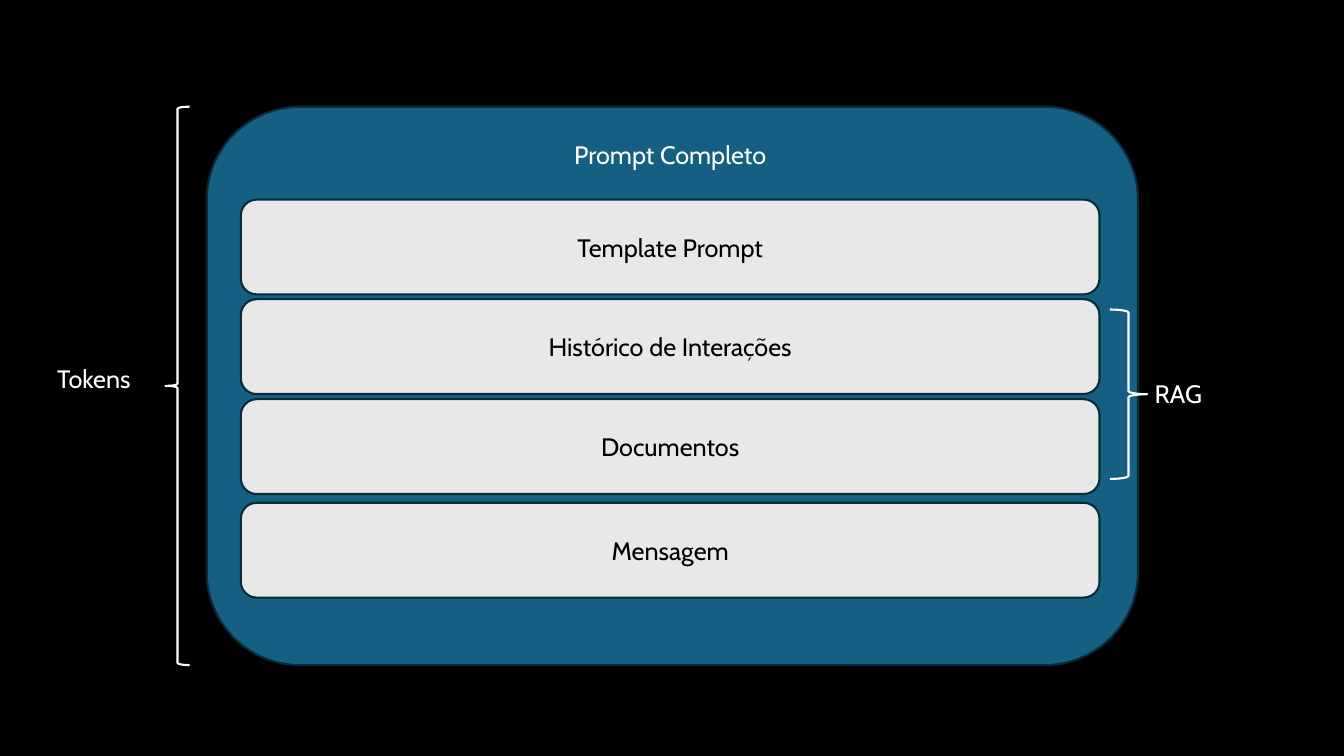
from pptx import Presentation
from pptx.dml.color import RGBColor
from pptx.enum.shapes import MSO_SHAPE
from pptx.enum.text import MSO_ANCHOR, MSO_AUTO_SIZE, PP_ALIGN
from pptx.util import Cm, Pt


def color(hex_text):
    return RGBColor.from_string(hex_text)


class Diagram:
    """Holds the style and the page being drawn."""

    font_format = {"name": "Cabin", "size": Pt(18)}
    line_width = Pt(1.5)
    white, black = "FFFFFF", "000000"
    panel_fill, layer_fill, edge = "156082", "E8E8E8", "092A39"

    def __init__(self, page):
        self.page = page
        page.background.fill.solid()
        page.background.fill.fore_color.rgb = color(self.black)

    def add_text(self, frame, text, text_color, align):
        para = frame.paragraphs[0]
        para.alignment = align
        span = para.add_run()
        span.text = text
        for name, value in self.font_format.items():
            setattr(span.font, name, value)
        span.font.color.rgb = color(text_color)

    def outline(self, shape, line_color):
        shape.shadow.inherit = False
        shape.line.color.rgb = color(line_color)
        shape.line.width = self.line_width

    def rounded_box(self, parent, place, fill, text=None):
        box = parent.shapes.add_shape(MSO_SHAPE.ROUNDED_RECTANGLE, *map(Cm, place))
        self.outline(box, self.edge)
        box.fill.solid()
        box.fill.fore_color.rgb = color(fill)
        if text:
            box.text_frame.vertical_anchor = MSO_ANCHOR.MIDDLE
            self.add_text(box.text_frame, text, self.black, PP_ALIGN.CENTER)

    def brace(self, kind, place):
        brace = self.page.shapes.add_shape(kind, *map(Cm, place))
        self.outline(brace, self.white)
        brace.fill.background()

    def label(self, parent, place, text, wrap=True):
        box = parent.shapes.add_textbox(*map(Cm, place))
        frame = box.text_frame
        settings = {"word_wrap": wrap, "auto_size": MSO_AUTO_SIZE.SHAPE_TO_FIT_TEXT}
        for name, value in settings.items():
            setattr(frame, name, value)
        self.add_text(frame, text, self.white, PP_ALIGN.LEFT)


def main():
    deck = Presentation()
    deck.slide_width, deck.slide_height = Cm(33.87), Cm(19.05)
    page = deck.slides.add_slide(deck.slide_layouts[6])
    diagram = Diagram(page)

    # Complete prompt with its four layers
    panel_top, panel_height = 2.69, 14.07
    prompt = page.shapes.add_group_shape()
    diagram.rounded_box(prompt, (5.21, panel_top, 23.47, panel_height), diagram.panel_fill)
    layers = {
        "Template Prompt": 5.03,
        "Histórico de Interações": 7.54,
        "Documentos": 10.06,
        "Mensagem": 12.67,
    }
    for text, top in layers.items():
        diagram.rounded_box(prompt, (6.07, top, 21.64, 2.39), diagram.layer_fill, text)
    diagram.label(prompt, (14.22, 3.38, 5.56, 1.02), "Prompt Completo")

    # Tokens: the whole prompt
    diagram.brace(MSO_SHAPE.LEFT_BRACE, (4.17, panel_top, 0.61, panel_height))
    diagram.label(page, (1.19, 9.02, 2.54, 1.02), "Tokens")

    # RAG: history and documents
    diagram.brace(MSO_SHAPE.RIGHT_BRACE, (27.97, 7.8, 0.94, 4.27))
    diagram.label(page, (28.85, 9.42, 1.73, 1.02), "RAG", wrap=False)

    deck.save("out.pptx")


if __name__ == "__main__":
    main()
